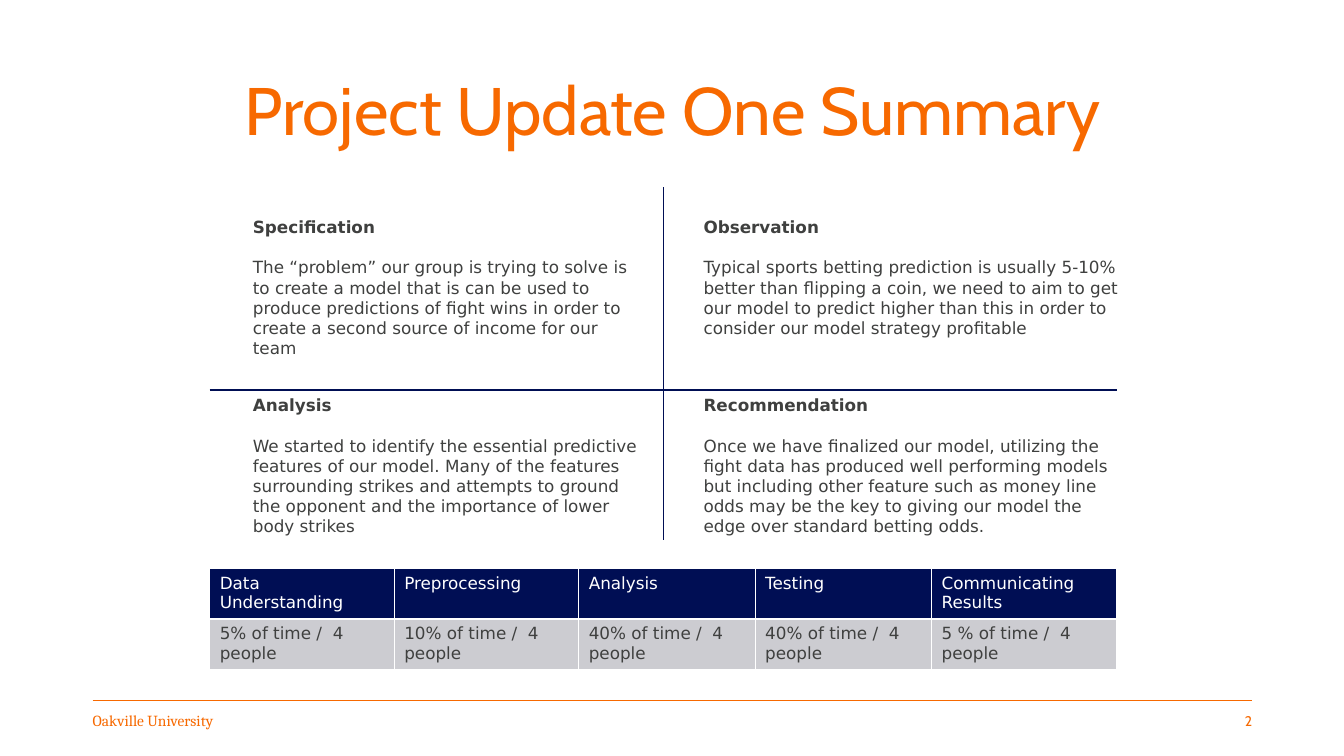
import dataclasses

import lxml.etree
import pptx
import pptx.dml.color
import pptx.enum.shapes
import pptx.enum.text
import pptx.oxml.ns
import pptx.util

Inches = pptx.util.Inches
Pt = pptx.util.Pt
Align = pptx.enum.text.PP_ALIGN
Anchor = pptx.enum.text.MSO_ANCHOR
qn = pptx.oxml.ns.qn


@dataclasses.dataclass(frozen=True)
class Theme:
    """Colours, fonts and type sizes of the slide."""
    orange: str = "F76900"
    navy: str = "000E54"
    ink: str = "3F403F"
    gray: str = "CCCCD1"
    white: str = "FFFFFF"
    head: str = "Cabin"
    body: str = "DejaVu Sans"
    foot: str = "Cambria"
    big: int = 48
    text: int = 12
    note: int = 11
    page: int = 10


THEME = Theme()

NOTES = [
    [("Specification",
      "The “problem” our group is trying to solve is to create a model that is "
      "can be used to produce predictions of fight wins in order to create a "
      "second source of income for our team"),
     ("Observation",
      "Typical sports betting prediction is usually 5-10% better than flipping "
      "a coin, we need to aim to get our model to predict higher than this in "
      "order to consider our model strategy profitable")],
    [("Analysis",
      "We started to identify the essential predictive features of our model. "
      "Many of the features surrounding strikes and attempts to ground the "
      "opponent and the importance of lower body strikes"),
     ("Recommendation",
      "Once we have finalized our model, utilizing the fight data has produced "
      "well performing models but including other feature such as money line "
      "odds may be the key to giving our model the edge over standard betting "
      "odds.")],
]

PLAN = [
    ("Data Understanding", "5% of time /  4 people"),
    ("Preprocessing", "10% of time /  4 people"),
    ("Analysis", "40% of time /  4 people"),
    ("Testing", "40% of time /  4 people"),
    ("Communicating Results", "5 % of time /  4 people"),
]


def rgb(code):
    """Turn a hex code into a colour."""
    return pptx.dml.color.RGBColor.from_string(code)


def write(par, text, size=THEME.text, font=THEME.body, color=THEME.ink,
          bold=False, align=Align.LEFT, after=0, lead=None):
    """Put formatted text into a paragraph."""
    run = par.add_run()
    run.text = text
    run.font.size = Pt(size)
    run.font.name = font
    run.font.bold = bold
    run.font.color.rgb = rgb(color)
    par.alignment = align
    par.space_after = Pt(after)
    if lead:
        par.line_spacing = lead


def frame(slide, box, side=0.1, anchor=Anchor.TOP, wrap=True):
    """Add a text box and return its text frame."""
    area = slide.shapes.add_textbox(*map(Inches, box)).text_frame
    area.word_wrap = wrap
    area.vertical_anchor = anchor
    area.margin_left = area.margin_right = Inches(side)
    return area


def rule(slide, start, end, color, width):
    """Draw a straight line without a shadow."""
    line = slide.shapes.add_connector(
        pptx.enum.shapes.MSO_CONNECTOR.STRAIGHT,
        *map(Inches, (*start, *end)))
    line.line.color.rgb = rgb(color)
    line.line.width = Pt(width)
    props = line._element.find(qn("p:spPr"))
    lxml.etree.SubElement(props, qn("a:effectLst"))


def title(slide, box):
    """Place the centred heading."""
    area = frame(slide, box, side=0, anchor=Anchor.MIDDLE)
    write(area.paragraphs[0], "Project Update One Summary", size=THEME.big,
          font=THEME.head, color=THEME.orange, align=Align.CENTER, lead=0.9)


def footer(slide, box):
    """Place the rule, the school name and the page number."""
    left, top, width, height = box
    part = 2.1
    rule(slide, (left, top), (left + width, top), THEME.orange, 0.5)
    marks = [
        (left, "Oakville University", THEME.note, THEME.foot, Align.LEFT),
        (left + width - part, "2", THEME.page, THEME.head, Align.RIGHT),
    ]
    for x, text, size, font, align in marks:
        area = frame(slide, (x, top, part, height), side=0,
                     anchor=Anchor.MIDDLE, wrap=False)
        write(area.paragraphs[0], text, size=size, font=font,
              color=THEME.orange, align=align)


def matrix(slide, box):
    """Place the four notes around a cross of two lines."""
    left, top, width, height = box
    mid = left + width / 2
    base = top + 2.01
    cols = [(left + 0.33, 4.08), (mid + 0.3, 4.37)]
    for y, row in zip((top + 0.24, base), NOTES):
        for (x, wide), (head, body) in zip(cols, row):
            area = frame(slide, (x, y, wide, 1.51))
            write(area.paragraphs[0], head, bold=True, after=14.5)
            write(area.add_paragraph(), body)
    rule(slide, (left, base), (left + width, base), THEME.navy, 1)
    rule(slide, (mid, top), (mid, top + height), THEME.navy, 1)


def edge(cell, color, width):
    """Give a cell the same border on all sides."""
    props = cell._tc.get_or_add_tcPr()
    for side in ("a:lnL", "a:lnR", "a:lnT", "a:lnB"):
        line = lxml.etree.SubElement(props, qn(side), w=str(Pt(width)))
        fill = lxml.etree.SubElement(line, qn("a:solidFill"))
        lxml.etree.SubElement(fill, qn("a:srgbClr"), val=color)


def plan(slide, box):
    """Place the table of project phases and their effort."""
    grid = slide.shapes.add_table(2, len(PLAN), *map(Inches, box)).table
    for col, wide in zip(grid.columns, (1.83, 1.83, 1.75, 1.75, 1.83)):
        col.width = Inches(wide)
    looks = [(THEME.navy, THEME.white), (THEME.gray, THEME.ink)]
    for x, texts in enumerate(PLAN):
        for y, (text, (fill, color)) in enumerate(zip(texts, looks)):
            cell = grid.cell(y, x)
            edge(cell, THEME.white, 1)
            cell.fill.solid()
            cell.fill.fore_color.rgb = rgb(fill)
            write(cell.text_frame.paragraphs[0], text, color=color)


def main():
    """Build and save the slide."""
    deck = pptx.Presentation()
    deck.slide_width = Inches(13.33)
    deck.slide_height = Inches(7.5)
    slide = deck.slides.add_slide(deck.slide_layouts[6])
    footer(slide, (0.92, 6.95, 11.5, 0.4))
    title(slide, (0.92, 0.4, 11.5, 1.45))
    matrix(slide, (2.08, 1.86, 9, 3.5))
    plan(slide, (2.08, 5.64, 9, 1))
    deck.save("out.pptx")


if __name__ == "__main__":
    main()
